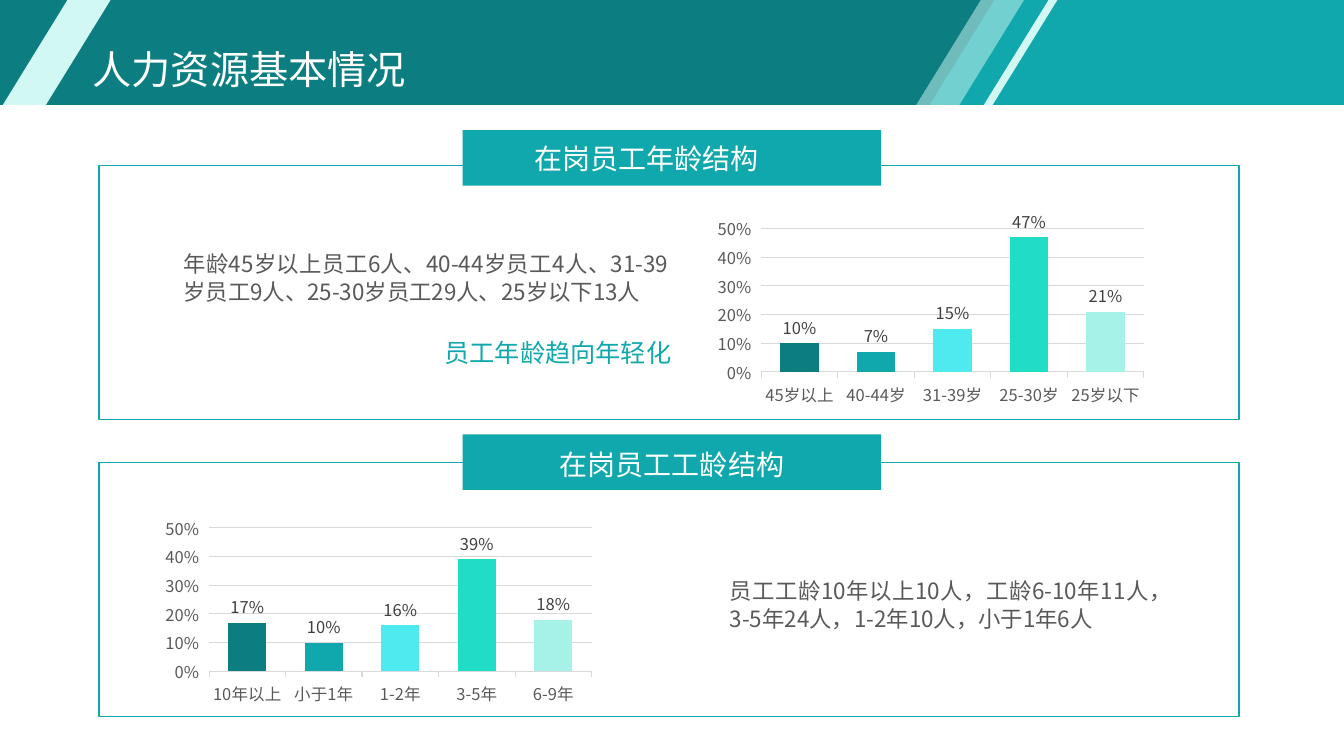
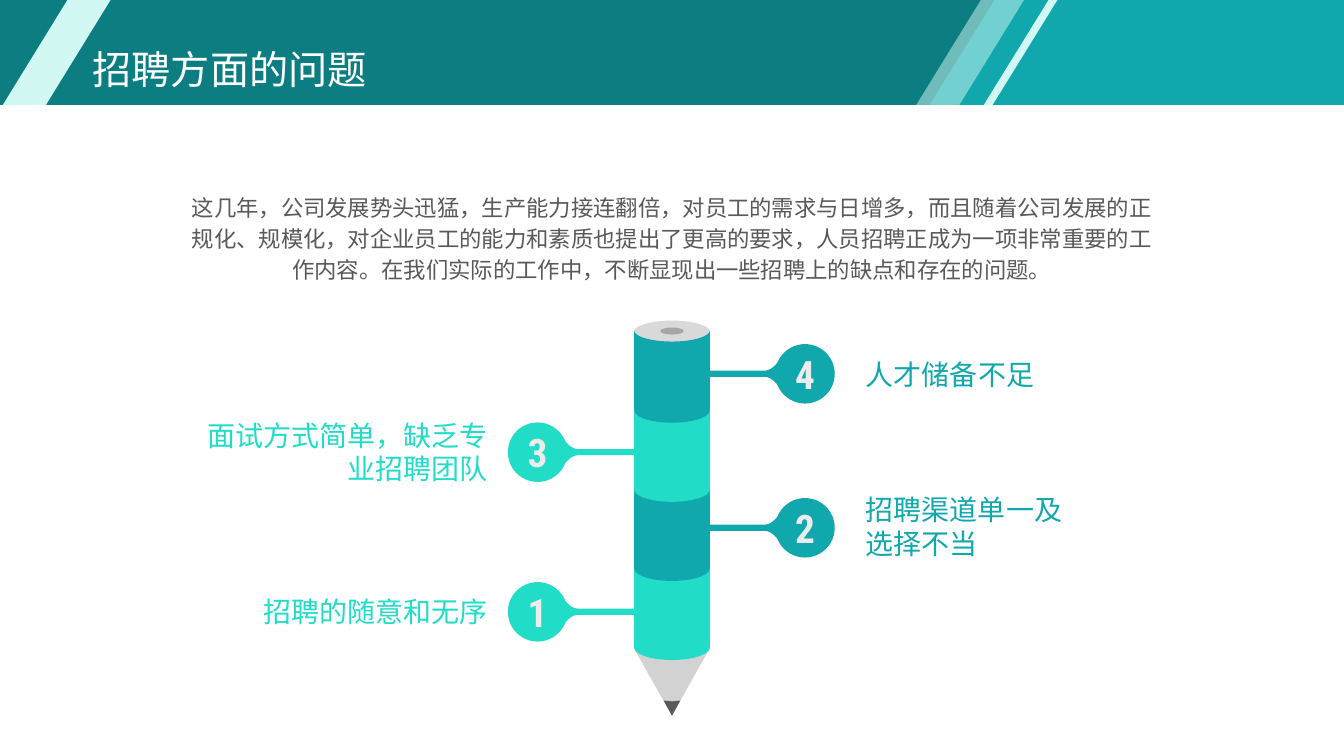
import math

from lxml import etree
from pptx import Presentation
from pptx.chart.data import CategoryChartData
from pptx.dml.color import RGBColor
from pptx.enum import chart as ch, lang, shapes, text
from pptx.oxml.ns import qn
from pptx.util import Pt

DEEP_TEAL = RGBColor(0x0C, 0x7E, 0x81)
TEAL = RGBColor(0x10, 0xA8, 0xAC)
CYAN = RGBColor(0x4E, 0xEA, 0xEF)
MINT = RGBColor(0x21, 0xDC, 0xC7)
SOFT_MINT = RGBColor(0xA6, 0xF2, 0xE9)
PALE_MINT = RGBColor(0xD2, 0xF8, 0xF4)
WHITE = RGBColor(0xFF, 0xFF, 0xFF)
NUMBER_GREY = RGBColor(0xEC, 0xEC, 0xEC)
GRID_GREY = RGBColor(0xD9, 0xD9, 0xD9)
WOOD_GREY = RGBColor(0xBF, 0xBF, 0xBF)
HOLE_GREY = RGBColor(0xA6, 0xA6, 0xA6)
BODY_GREY = RGBColor(0x59, 0x59, 0x59)
LABEL_GREY = RGBColor(0x40, 0x40, 0x40)
BAR_COLORS = [DEEP_TEAL, TEAL, CYAN, MINT, SOFT_MINT]

SANS = "Noto Sans CJK SC"
NUMERALS = "Roboto Condensed"
LEFT, RIGHT, CENTER, JUSTIFY = (
    text.PP_ALIGN.LEFT, text.PP_ALIGN.RIGHT, text.PP_ALIGN.CENTER, text.PP_ALIGN.JUSTIFY)
RECT, OVAL, SLANT = (
    shapes.MSO_SHAPE.RECTANGLE, shapes.MSO_SHAPE.OVAL, shapes.MSO_SHAPE.PARALLELOGRAM)

BAND_HEIGHT = 75
PENCIL_LEFT, PENCIL_WIDTH = 453, 54
PENCIL_TOP, SEGMENT_STEP = 236, 56.5


def style_font(font, size, color, name=SANS, **more):
    font.color.rgb = color
    for key, value in dict(size=Pt(size), name=name, **more).items():
        setattr(font, key, value)


def set_east_asian_fonts(root):
    """Give Chinese characters the same typeface as Latin ones."""
    for latin in list(root.iter(qn("a:latin"))):
        ea = latin.makeelement(qn("a:ea"), {"typeface": latin.get("typeface")})
        latin.addnext(ea)


def paint(sp, fill=None, alpha=None, line=None):
    sp.shadow.inherit = False
    if fill is None:
        sp.fill.background()
    else:
        sp.fill.solid()
        sp.fill.fore_color.rgb = fill
    if alpha is not None:
        color = sp.element.spPr.find(f"{qn('a:solidFill')}/{qn('a:srgbClr')}")
        etree.SubElement(color, qn("a:alpha"), val=str(alpha * 1000))
    if line is None:
        sp.line.fill.background()
    else:
        sp.line.color.rgb = line
        sp.line.width = Pt(1)
    return sp


def add_preset(parent, kind, at, **look):
    return paint(parent.add_shape(kind, *map(Pt, at)), **look)


def add_polygon(parent, points, **look):
    corners = [(Pt(x), Pt(y)) for x, y in points]
    builder = parent.build_freeform(*corners[0], scale=1.0)
    builder.add_line_segments(corners[1:], close=True)
    return paint(builder.convert_to_shape(), **look)


def write(tf, words, size, color, align=LEFT, spacing=None, **font):
    p = tf.paragraphs[0]
    p.alignment = align
    if spacing is not None:
        p.line_spacing = spacing
    r = p.add_run()
    r.text = words
    style_font(r.font, size, color,
               language_id=lang.MSO_LANGUAGE_ID.SIMPLIFIED_CHINESE, **font)


def remove_margins(tf):
    for side in ("left", "top", "right", "bottom"):
        setattr(tf, f"margin_{side}", 0)


def add_text(s, at, words, size, color, wrap=True, anchor=text.MSO_ANCHOR.TOP, **fmt):
    tf = s.shapes.add_textbox(*map(Pt, at)).text_frame
    remove_margins(tf)
    tf.word_wrap = wrap
    tf.auto_size = text.MSO_AUTO_SIZE.SHAPE_TO_FIT_TEXT
    tf.vertical_anchor = anchor
    write(tf, words, size, color, **fmt)


def build_layout(prs):
    """Put the title position and the header band on the title-only layout."""
    layout = prs.slide_layouts[5]
    title = layout.placeholders[0]
    title.left, title.top, title.width, title.height = map(Pt, (59, 24, 654, 54))
    return layout


def draw_band(s, layout):
    """Draw the header band with a slide's tools, then move it to the layout."""
    band = [
        add_preset(s.shapes, RECT, (0, 0, 960, BAND_HEIGHT), fill=DEEP_TEAL),
        add_polygon(s.shapes, [(710.5, 0), (960, 0), (960, BAND_HEIGHT),
                               (664, BAND_HEIGHT)], fill=TEAL),
    ]
    for left, alpha in ((2, None), (654.5, 51)):
        slant = add_preset(s.shapes, SLANT, (left, 0, 77, BAND_HEIGHT),
                           fill=PALE_MINT, alpha=alpha)
        slant.adjustments[0] = 0.616
        band.append(slant)
    band.append(add_polygon(s.shapes, [(749, 0), (755.3, 0), (709, BAND_HEIGHT),
                                       (702.7, BAND_HEIGHT)], fill=PALE_MINT))
    for i, sp in enumerate(band):
        sp.element.xpath(".//p:cNvPr")[0].set("id", str(100 + i))
        layout.shapes.element.insert(2 + i, sp.element)


def add_slide(prs, layout, title):
    s = prs.slides.add_slide(layout)
    tf = s.shapes.title.text_frame
    tf.vertical_anchor = text.MSO_ANCHOR.MIDDLE
    tf.auto_size = text.MSO_AUTO_SIZE.NONE
    write(tf, title, 28, WHITE, spacing=0.9)
    return s


def set_plot_area(chart, **box):
    plot = chart.element.find(f".//{qn('c:plotArea')}")
    for old in plot.findall(qn("c:layout")):
        plot.remove(old)
    layout = plot.makeelement(qn("c:layout"), {})
    plot.insert(0, layout)
    manual = etree.SubElement(layout, qn("c:manualLayout"))
    settings = dict(layoutTarget="inner", xMode="edge", yMode="edge", **box)
    for tag, value in settings.items():
        etree.SubElement(manual, qn(f"c:{tag}"), val=str(value))


def add_share_chart(s, left, top, shares):
    data = CategoryChartData(number_format="0%")
    data.categories = list(shares)
    data.add_series("Series 1", list(shares.values()))
    chart = s.shapes.add_chart(ch.XL_CHART_TYPE.COLUMN_CLUSTERED, Pt(left), Pt(top),
                               Pt(334), Pt(143.3), data).chart
    chart.has_legend = chart.has_title = False
    style_font(chart.font, 10, RGBColor(0, 0, 0))

    cat, val = chart.category_axis, chart.value_axis
    for axis in (cat, val):
        axis.major_tick_mark = ch.XL_TICK_MARK.OUTSIDE
        style_font(axis.tick_labels.font, 11.9, BODY_GREY)
    for line in (cat.format.line, val.major_gridlines.format.line):
        line.color.rgb = GRID_GREY
        line.width = Pt(0.75)
    val.format.line.fill.background()
    for key, value in dict(minimum_scale=0, maximum_scale=0.5, major_unit=0.1).items():
        setattr(val, key, value)
    val.tick_labels.number_format = "0%"
    val.tick_labels.number_format_is_linked = False

    plot = chart.plots[0]
    plot.gap_width = 100
    plot.vary_by_categories = False
    series = plot.series[0]
    series.format.fill.solid()
    series.format.fill.fore_color.rgb = TEAL
    for i, color in enumerate(BAR_COLORS):
        fill = series.points[i].format.fill
        fill.solid()
        fill.fore_color.rgb = color
    labels = series.data_labels
    label_settings = dict(show_value=True, position=ch.XL_LABEL_POSITION.OUTSIDE_END,
                          number_format="0%", number_format_is_linked=False)
    for key, value in label_settings.items():
        setattr(labels, key, value)
    style_font(labels.font, 11.9, LABEL_GREY)
    set_plot_area(chart, x=0.085, y=0.117, w=0.826, h=0.733)
    set_east_asian_fonts(chart.element)


def add_half_ellipse(left, width, top, depth, steps=24):
    """Points of the lower half of an ellipse, from left to right."""
    angles = [math.pi * i / steps for i in range(steps + 1)]
    return [(left + width * (1 - math.cos(a)) / 2, top + depth * math.sin(a))
            for a in angles]


def draw_pencil(s):
    pencil = s.shapes.add_group_shape().shapes
    add_polygon(pencil, [(453.6, 464.4), (453.6, 460.8), (479.5, 427), (506.2, 460.8),
                         (506.2, 464.4), (480, 511.2)], fill=WOOD_GREY, alpha=70)
    add_polygon(pencil, [(474, 500.4), (480, 501), (486, 500.4), (480, 511.2)],
                fill=BODY_GREY)
    add_preset(pencil, OVAL, (PENCIL_LEFT, 229, PENCIL_WIDTH, 16), fill=GRID_GREY)
    for i in reversed(range(4)):
        top = PENCIL_TOP + i * SEGMENT_STEP
        upper = add_half_ellipse(PENCIL_LEFT, PENCIL_WIDTH, top, 8)
        lower = add_half_ellipse(PENCIL_LEFT, PENCIL_WIDTH, top + SEGMENT_STEP + 0.5, 9)
        add_polygon(pencil, upper + lower[::-1], fill=(TEAL, MINT)[i % 2])
    add_preset(pencil, OVAL, (471.6, 234, 16.8, 5), fill=HOLE_GREY)


def draw_callout(s, number, cy):
    """Numbered disc with a flared neck; odd ones left of the pencil, even ones right."""
    on_left = number % 2
    cx, side, color = (384, 1, MINT) if on_left else (575, -1, TEAL)
    callout = s.shapes.add_group_shape().shapes
    flare = [(29 - 10 * t / 8, 2.2 + 6.5 * (t / 8) ** 2) for t in range(9)]
    edge = [(71.7, 2.2)] + flare
    outline = edge + [(x, -y) for x, y in reversed(edge)]
    add_polygon(callout, [(cx + side * x, cy + y) for x, y in outline], fill=color)
    disc = add_preset(callout, OVAL, (cx - 21.25, cy - 21.25, 42.5, 42.5), fill=color)
    tf = disc.text_frame
    remove_margins(tf)
    tf.vertical_anchor = text.MSO_ANCHOR.MIDDLE
    write(tf, str(number), 28, NUMBER_GREY, align=CENTER, name=NUMERALS, bold=True)


def fill_staff_slide(s):
    for top in (330.5, 118):
        add_preset(s.shapes, RECT, (70.6, top, 814.3, 181.5), line=TEAL)
    for top in (93, 310.3):
        add_preset(s.shapes, RECT, (330.5, top, 299, 39.6), fill=TEAL)
    for at, words, size, color in (
            ((376.6, 100.8, 165.6, 24.5), "在岗员工年龄结构", 20, WHITE),
            ((394.6, 319.7, 165.6, 24.5), "在岗员工工龄结构", 20, WHITE),
            ((316.1, 241.2, 163.4, 21.6), "员工年龄趋向年轻化", 18, TEAL)):
        add_text(s, at, words, size, color, wrap=False, align=RIGHT)
    for at, words in (
            ((131, 177.8, 346.3, 40.3),
             "年龄45岁以上员工6人、40-44岁员工4人、31-39岁员工9人、25-30岁员工29人、25岁以下13人"),
            ((521.3, 411.1, 299.5, 40.3),
             "员工工龄10年以上10人，工龄6-10年11人，3-5年24人，1-2年10人，小于1年6人")):
        add_text(s, at, words, 16, BODY_GREY, align=JUSTIFY, spacing=Pt(20))
    add_share_chart(s, 512.6, 146.9, {
        "45岁以上": 0.1, "40-44岁": 0.07, "31-39岁": 0.15, "25-30岁": 0.47, "25岁以下": 0.21})
    add_share_chart(s, 118.1, 360.7, {
        "10年以上": 0.17, "小于1年": 0.1, "1-2年": 0.16, "3-5年": 0.39, "6-9年": 0.18})


def fill_hiring_slide(s):
    add_text(s, (136, 135.4, 688.3, 67),
             "这几年，公司发展势头迅猛，生产能力接连翻倍，对员工的需求与日增多，"
             "而且随着公司发展的正规化、规模化，对企业员工的能力和素质也提出了更高的要求，"
             "人员招聘正成为一项非常重要的工作内容。在我们实际的工作中，"
             "不断显现出一些招聘上的缺点和存在的问题。",
             16, BODY_GREY, anchor=text.MSO_ANCHOR.MIDDLE, align=CENTER, spacing=Pt(22))
    for at, words, color, align in (
            ((146.2, 298.8, 202.3, 48.2), "面试方式简单，缺乏专业招聘团队", MINT, RIGHT),
            ((618.5, 255.6, 154.8, 24.5), "人才储备不足", TEAL, LEFT),
            ((618.5, 352.1, 154.1, 48.2), "招聘渠道单一及选择不当", TEAL, LEFT),
            ((165.6, 424.8, 182.9, 24.5), "招聘的随意和无序", MINT, RIGHT)):
        add_text(s, at, words, 20, color, align=align)
    draw_pencil(s)
    for number, cy in enumerate((437, 377, 323, 267), start=1):
        draw_callout(s, number, cy)


def main():
    prs = Presentation()
    prs.slide_width, prs.slide_height = Pt(960), Pt(540)
    layout = build_layout(prs)
    staff = add_slide(prs, layout, "人力资源基本情况")
    draw_band(staff, layout)
    fill_staff_slide(staff)
    fill_hiring_slide(add_slide(prs, layout, "招聘方面的问题"))
    for s in prs.slides:
        set_east_asian_fonts(s.element)
    prs.save("out.pptx")


if __name__ == "__main__":
    main()
